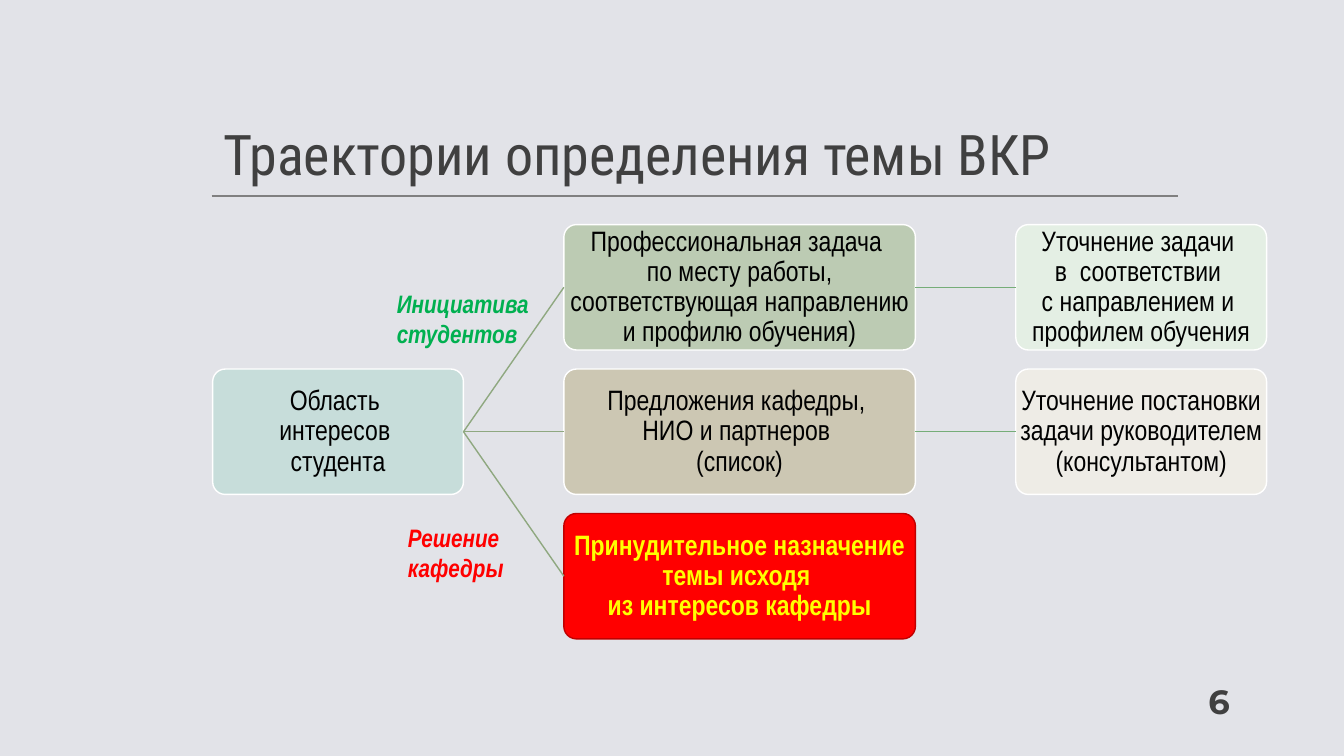
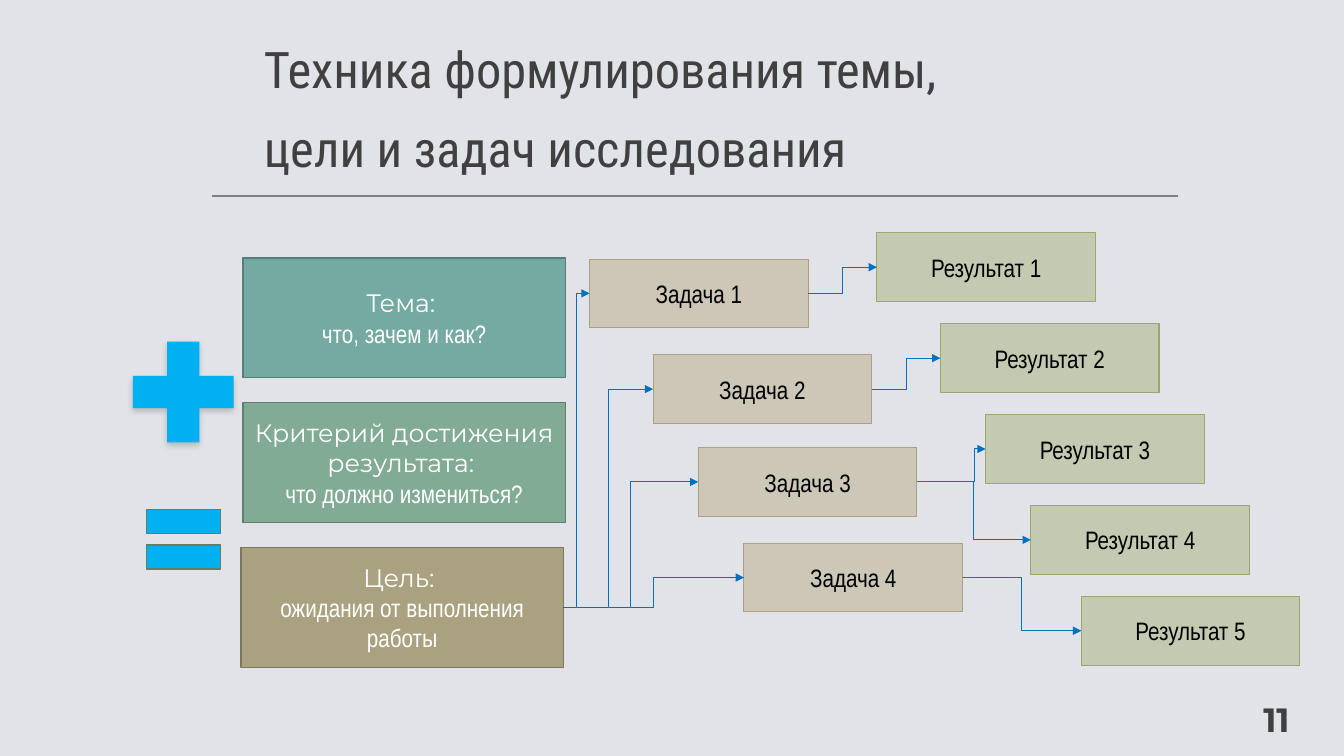
from lxml import etree
from pptx import Presentation
from pptx.dml.color import RGBColor
from pptx.enum import shapes, text
from pptx.oxml import ns
from pptx.util import Cm, Pt

HUES = {
    "back": "E2E3E8", "ink": "404040", "rule": "808080", "black": "000000",
    "white": "FFFFFF", "red": "FF0000", "wine": "C00000", "yellow": "FFFF00",
    "green": "00B050", "sky": "00B0F0", "blue": "0070C0",
    "moss": "8FA880", "leaf": "76AD78", "olive": "6A7C5F",
    "aqua": "C7DDDA", "sage": "BCCBB3", "mint": "E4EFE4",
    "sand": "CCC7B3", "cream": "EEECE6",
    "teal": "74AAA2", "teal edge": "567E78", "fern": "81AB94",
    "fern edge": "5F7F6D", "khaki": "AAA180", "khaki edge": "7E775F",
    "task": "CCC7B7", "result": "C4CAB1", "result edge": "9CA671",
}
KIND = shapes.MSO_SHAPE
WIRE = shapes.MSO_CONNECTOR
SIDE = text.PP_ALIGN
ANCHOR = text.MSO_ANCHOR
LEFT, RIGHT = 1, 3  # connection sites of a rectangle

HEAD = {"name": "Roboto Condensed", "color": "ink"}
PAGE = {"name": "Montserrat", "size": 24, "bold": True, "color": "ink"}
BODY = {"name": "Arial Narrow", "size": 20, "color": "black"}
SMALL = {**BODY, "size": 18}
NOTE = {**SMALL, "bold": True, "italic": True}
ALERT = {**BODY, "bold": True, "color": "yellow"}
LEAD = {"name": "Montserrat", "size": 18, "color": "white"}
REST = {**SMALL, "color": "white"}

# Slide 1: column, row, text, fill, edge, format
NODES = {
    "area": (0, 1, "Область \nинтересов \nстудента", "aqua", "white", BODY),
    "job": (1, 0, "Профессиональная задача \nпо месту работы, "
            "соответствующая направлению и профилю обучения)",
            "sage", "white", BODY),
    "offer": (1, 1, "Предложения кафедры, \nНИО и партнеров \n(список)",
              "sand", "white", BODY),
    "force": (1, 2, "Принудительное назначение темы исходя \n"
              "из интересов кафедры", "red", "wine", ALERT),
    "fit": (2, 0, "Уточнение задачи \nв  соответствии \nс направлением и \n"
            "профилем обучения", "mint", "white", BODY),
    "refine": (2, 1, "Уточнение постановки задачи руководителем "
               "(консультантом)", "cream", "white", BODY),
}
PATHS = [("area", "job", "moss"), ("area", "offer", "moss"),
         ("area", "force", "moss"), ("job", "fit", "leaf"),
         ("offer", "refine", "leaf")]
WIDTHS = [6.32, 8.86, 6.32]
NOTES = [(9.75, 7.14, "Инициатива студентов", "green"),
         (10.03, 13.03, "Решение кафедры", "red")]

# Slide 2
CARDS = [(6.12, "Тема: \n", "что, зачем и как?", "teal"),
         (6.12, "Критерий достижения результата: \n",
          "что должно измениться?", "fern"),
         (6.07, "Цель: \n", "ожидания от выполнения работы", "khaki")]
TASKS = [(14.86, 6.53), (16.46, 8.94), (17.6, 11.28), (18.75, 13.69)]
RESULTS = [22.1, 23.7, 24.84, 25.98, 27.25]
# Task, result, place of the bend
LINKS = [(0, 0, 0.5), (1, 1, 0.5), (2, 2, 0.84), (2, 3, 0.5), (3, 4, 0.5)]


def rgb(hue):
    return RGBColor.from_string(HUES[hue])


def write(shape, parts, anchor=ANCHOR.MIDDLE, side=SIDE.CENTER,
          space=None, pads=None):
    """Fill a shape with one paragraph of (text, format) parts."""
    frame = shape.text_frame
    frame.word_wrap = True
    frame.vertical_anchor = anchor
    if pads:
        for edge, pad in zip(("left", "top", "right", "bottom"), pads):
            setattr(frame, "margin_" + edge, Cm(pad))
    para = frame.paragraphs[0]
    para.alignment = side
    para.line_spacing = space
    for words, form in parts:
        for i, line in enumerate(words.split("\n")):
            if i:
                para.add_line_break()
            if not line:
                continue
            run = para.add_run()
            run.text = line
            for key, val in form.items():
                if key == "color":
                    run.font.color.rgb = rgb(val)
                else:
                    setattr(run.font, key, Pt(val) if key == "size" else val)


def label(slide, box, words, form, **opts):
    area = slide.shapes.add_textbox(*map(Cm, box))
    write(area, [(words, form)], **opts)


def block(slide, kind, box, fill, edge=None, width=1):
    shape = slide.shapes.add_shape(kind, *map(Cm, box))
    shape.shadow.inherit = False
    shape.fill.solid()
    shape.fill.fore_color.rgb = rgb(fill)
    if edge:
        shape.line.color.rgb = rgb(edge)
        shape.line.width = Pt(width)
    else:
        shape.line.fill.background()
    return shape


def wire(slide, kind, hue, width, ends=(0, 0, 0, 0)):
    line = slide.shapes.add_connector(kind, *map(Cm, ends))
    line.line.color.rgb = rgb(hue)
    line.line.width = Pt(width)
    etree.SubElement(line._element.spPr, ns.qn("a:effectLst"))
    return line


def join(line, start, end):
    line.begin_connect(start, RIGHT)
    line.end_connect(end, LEFT)


def arrow(slide, start, end, bend=0.5):
    line = wire(slide, WIRE.ELBOW, "blue", 0.75)
    join(line, start, end)
    stroke = line.line._get_or_add_ln()
    etree.SubElement(stroke, ns.qn("a:tailEnd"), type="triangle")
    guides = line._element.spPr.find(".//" + ns.qn("a:avLst"))
    etree.SubElement(guides, ns.qn("a:gd"), name="adj1",
                     fmla=f"val {round(bend * 100000)}")


def shade(shape):
    """Give a shape a soft shadow below it."""
    effects = shape._element.spPr.find(ns.qn("a:effectLst"))
    outer = etree.SubElement(effects, ns.qn("a:outerShdw"),
                             blurRad=str(Pt(4.5)), dist=str(Pt(2)),
                             dir="5400000", rotWithShape="0")
    color = etree.SubElement(outer, ns.qn("a:srgbClr"), val=HUES["black"])
    etree.SubElement(color, ns.qn("a:alpha"), val="20000")


def base(deck, title, box, size, page, spot, side):
    """Add a slide with its title, rule and page number."""
    slide = deck.slides.add_slide(deck.slide_layouts[6])
    opts = {"anchor": ANCHOR.BOTTOM, "pads": (0.3, 0.3, 0.3, 0.25)}
    wire(slide, WIRE.STRAIGHT, "rule", 1.5, (5.33, 4.95, 29.69, 4.95))
    label(slide, box, title, {**HEAD, "size": size},
          side=SIDE.LEFT, space=1.3, **opts)
    label(slide, spot, page, PAGE, side=side, **opts)
    return slide


def routes(deck):
    slide = base(deck, "Траектории определения темы ВКР",
                 (5.33, 1.22, 26.59, 3.73), 40,
                 "6", (30.15, 17.15, 3.3, 1.27), SIDE.LEFT)
    left, top, gap, pitch, high = 5.36, 5.66, 2.53, 3.64, 3.16
    nodes = {}
    for name, (col, row, words, fill, edge, form) in NODES.items():
        x = left + sum(WIDTHS[:col]) + gap * col
        node = block(slide, KIND.ROUNDED_RECTANGLE,
                     (x, top + pitch * row, WIDTHS[col], high), fill, edge)
        node.adjustments[0] = 0.1
        # The rounded corners already inset the text
        write(node, [(words, form)], space=0.9, pads=[0.02] * 4)
        nodes[name] = node
    for start, end, hue in PATHS:
        join(wire(slide, WIRE.STRAIGHT, hue, 1), nodes[start], nodes[end])
    for x, y, words, hue in NOTES:
        label(slide, (x, y, 4.65, 1.8), words, {**NOTE, "color": hue},
              anchor=ANCHOR.TOP, side=SIDE.LEFT)


def method(deck):
    slide = base(deck, "Техника формулирования темы, \n"
                 "цели и задач исследования",
                 (6.35, 0.94, 27.51, 3.78), 36,
                 "11", (28.96, 17.86, 3.84, 1.02), SIDE.RIGHT)
    for i, (x, lead, rest, hue) in enumerate(CARDS):
        card = block(slide, KIND.RECTANGLE, (x, 6.5 + 3.65 * i, 8.13, 3.02),
                     hue, hue + " edge")
        write(card, [(lead, LEAD), (rest, REST)])
    goal = card

    plus = block(slide, KIND.CROSS, (3.35, 8.61, 2.54, 2.54), "sky")
    plus.adjustments[0] = 0.34
    shade(plus)
    block(slide, KIND.MATH_EQUAL, (3.35, 12.32, 2.54, 2.54), "sky", "olive")

    def chips(word, spots, fill, edge):
        row = []
        for i, (x, y) in enumerate(spots, 1):
            chip = block(slide, KIND.RECTANGLE, (x, y, 5.51, 1.73),
                         fill, edge, 0.75)
            write(chip, [(f"{word} {i}", SMALL)])
            row.append(chip)
        return row

    tasks = chips("Задача", TASKS, "task", "khaki")
    steps = [(x, 5.87 + 2.29 * i) for i, x in enumerate(RESULTS)]
    results = chips("Результат", steps, "result", "result edge")
    for task in tasks:
        arrow(slide, goal, task)
    for start, end, bend in LINKS:
        arrow(slide, tasks[start], results[end], bend)


def main():
    deck = Presentation()
    deck.slide_width, deck.slide_height = Cm(33.87), Cm(19.05)
    fill = deck.slide_master.background.fill
    fill.solid()
    fill.fore_color.rgb = rgb("back")
    routes(deck)
    method(deck)
    deck.save("out.pptx")


if __name__ == "__main__":
    main()
